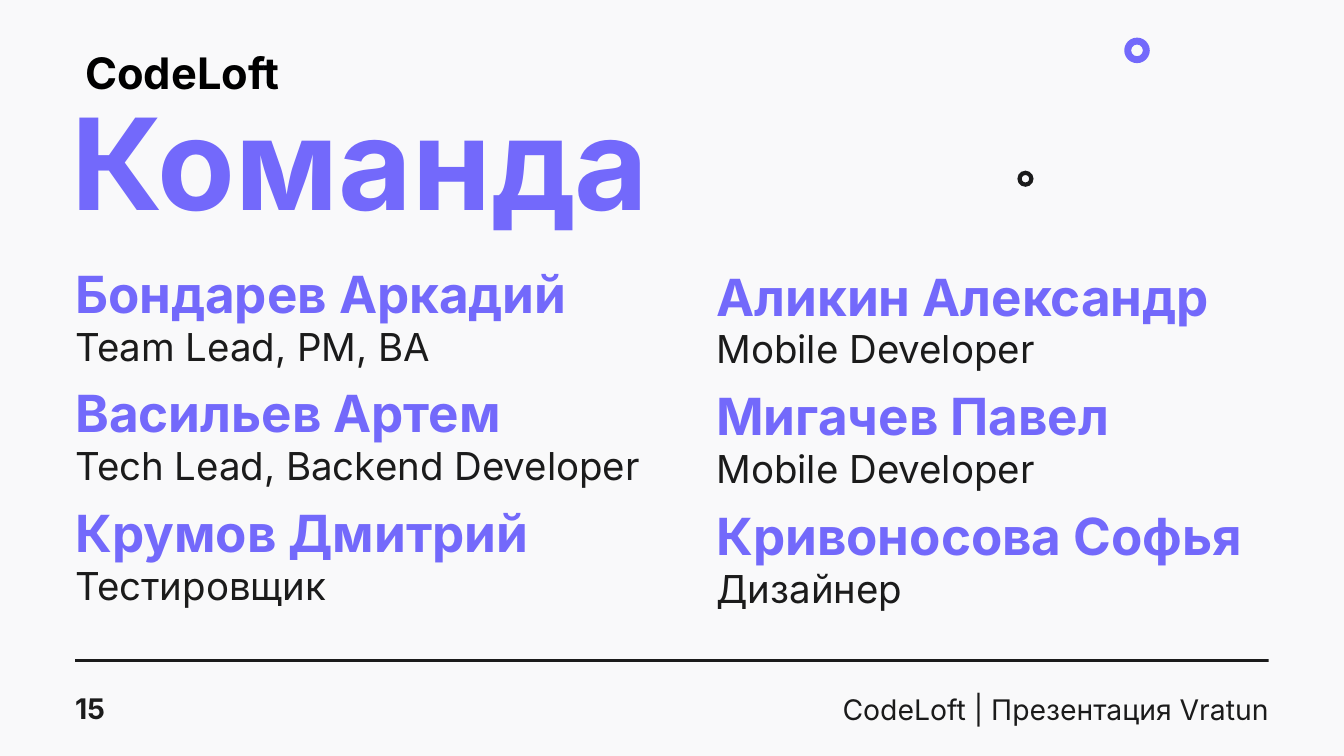
from pptx import Presentation
from pptx import util as u
from pptx.dml.color import RGBColor
from pptx.enum import shapes, text

# Content
BRAND = "CodeLoft"
TITLE = "Команда"
PAGE = "15"
FOOTER = "СodeLoft | Презентация Vratun"
TEAM = [  # one list per column: name, role
    [("Бондарев Аркадий", "Team Lead, PM, BA"),
     ("Васильев Артем", "Tech Lead, Backend Developer"),
     ("Крумов Дмитрий", "Тестировщик")],
    [("Аликин Александр", "Mobile Developer"),
     ("Мигачев Павел", "Mobile Developer"),
     ("Кривоносова Софья", "Дизайнер")],
]

# Style
FONT = "Inter"
PAPER = RGBColor(0xF9, 0xF9, 0xFA)
INK = RGBColor(0x1B, 0x1B, 0x1B)
BLACK = RGBColor(0, 0, 0)
VIOLET = RGBColor(0x73, 0x69, 0xFB)

# Grid, in inches
W, H = 20, 11.25
MARGIN = 1.12
INNER = W - 2 * MARGIN
COLUMNS = [(MARGIN, 3.75), (10.66, 3.79)]  # left, top
ROW_STEP = 1.78
ROLE_DROP = 0.94
COL_W = 8.88

prs = Presentation()
prs.slide_width, prs.slide_height = u.Inches(W), u.Inches(H)
s = prs.slides.add_slide(prs.slide_layouts[5])
s.background.fill.solid()
s.background.fill.fore_color.rgb = PAPER


def place(sp, x, y, w, h):
    sp.left, sp.top, sp.width, sp.height = map(u.Inches, (x, y, w, h))


def write(words, box, size, leading, color=INK, bold=False,
          align=text.PP_ALIGN.LEFT, sp=None):
    sp = sp or s.shapes.add_textbox(0, 0, 0, 0)
    place(sp, *box)
    tf = sp.text_frame
    tf.margin_left = tf.margin_top = tf.margin_right = tf.margin_bottom = 0
    tf.word_wrap = True
    tf.auto_size = text.MSO_AUTO_SIZE.NONE
    tf.vertical_anchor = text.MSO_ANCHOR.TOP
    p = tf.paragraphs[0]
    p.text = words
    p.alignment = align
    p.line_spacing = u.Pt(leading)
    f = p.runs[0].font
    f.name, f.size, f.bold = FONT, u.Pt(size), bold
    f.color.rgb = color


def draw(kind, box, color):
    sp = s.shapes.add_shape(kind, 0, 0, 0, 0)
    place(sp, *box)
    sp.shadow.inherit = False
    sp.fill.solid()
    sp.fill.fore_color.rgb = color
    sp.line.fill.background()
    return sp


# Footer
draw(shapes.MSO_SHAPE.RECTANGLE, (MARGIN, 9.81, INNER, 0.04), INK)
write(FOOTER, (5.77, 10.21, W - MARGIN - 5.77, 0.56), 30.4, 42.5,
      align=text.PP_ALIGN.RIGHT)
write(PAGE, (MARGIN, 10.2, 2.47, 0.56), 30.4, 42.5, bold=True)

# Heading
write(TITLE, (1.06, 1.43, 12.28, 2.13), 136.1, 149.7, VIOLET, True,
      sp=s.shapes.title)
write(BRAND, (1.14, 0.56, 3.15, 0.89), 46.5, 65.1, BLACK, True,
      text.PP_ALIGN.CENTER)

# Team members
for (x, top), members in zip(COLUMNS, TEAM):
    for row, (name, role) in enumerate(members):
        y = top + row * ROW_STEP
        write(role, (x, y + ROLE_DROP, COL_W, 0.77), 41.2, 57.7)
        write(name, (x, y, COL_W, 1.03), 54.8, 76.7, VIOLET, True)

# Decorative rings
for x, y, size, color in [(16.73, 0.56, 0.38, VIOLET), (15.14, 2.54, 0.24, INK)]:
    ring = draw(shapes.MSO_SHAPE.DONUT, (x, y, size, size), color)
    ring.adjustments[0] = 0.27

prs.save("out.pptx")
